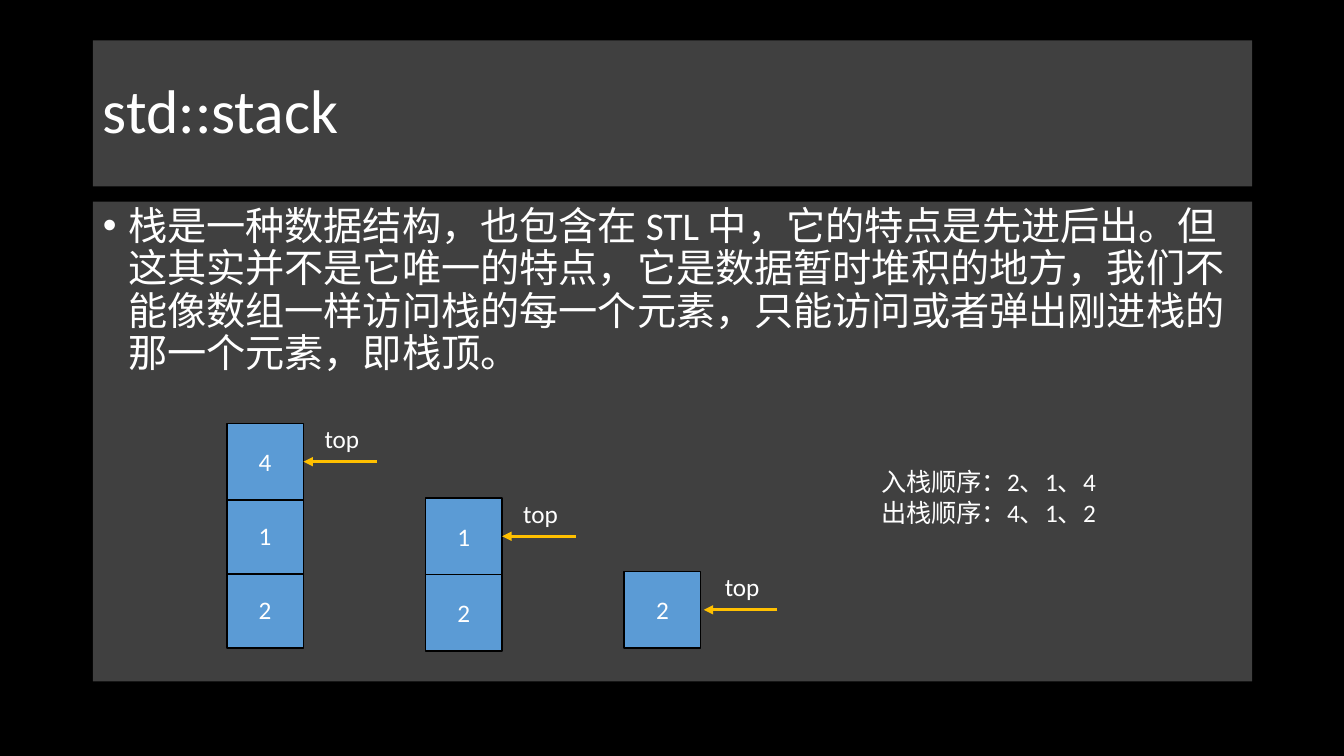
from lxml import etree
from pptx import Presentation
from pptx.dml.color import RGBColor
from pptx.enum.shapes import MSO_CONNECTOR, MSO_SHAPE
from pptx.enum.text import MSO_ANCHOR, MSO_AUTO_SIZE, PP_ALIGN
from pptx.oxml.ns import qn
from pptx.util import Inches, Pt

# Content
TITLE = "std::stack"
BODY = ("栈是一种数据结构，也包含在 STL 中，它的特点是先进后出。"
        "但这其实并不是它唯一的特点，它是数据暂时堆积的地方，"
        "我们不能像数组一样访问栈的每一个元素，"
        "只能访问或者弹出刚进栈的那一个元素，即栈顶。")
ORDERS = ["入栈顺序：2、1、4", "出栈顺序：4、1、2"]
# Values from bottom to top, top of the lowest cell, row step, gap before arrow
STACKS = [
    (["2", "1", "4"], 5.67, 0.735, 0),
    (["2", "1"], 5.7, 0.76, 0),
    (["2"], 5.67, 0.74, 0.03),
]

# Grid, in inches
WIDTH, HEIGHT = 13.33, 7.5
MARGIN, PANEL_W = 0.92, 11.5
STACK_X, STACK_PITCH = 2.25, 1.97
CELL, ARROW = 0.76, 0.73

BLACK = RGBColor(0, 0, 0)
WHITE = RGBColor(255, 255, 255)
BLUE = RGBColor(0x5B, 0x9B, 0xD5)
AMBER = RGBColor(0xFF, 0xC0, 0)
CENTER, LEFT = PP_ALIGN.CENTER, PP_ALIGN.LEFT
MIDDLE, TOP = MSO_ANCHOR.MIDDLE, MSO_ANCHOR.TOP


def write(shape, lines, size=18, align=LEFT, anchor=TOP, wrap=True, **spacing):
    tf = shape.text_frame
    tf.text = "\n".join(lines)
    tf.auto_size = MSO_AUTO_SIZE.NONE
    tf.word_wrap, tf.vertical_anchor = wrap, anchor
    for p in tf.paragraphs:
        for name, value in {"alignment": align, **spacing}.items():
            setattr(p, name, value)
        for r in p.runs:
            r.font.name, r.font.size = "Calibri", Pt(size)
            r.font.color.rgb = WHITE


def add_text(s, x, y, w, h, lines, **style):
    write(s.shapes.add_textbox(*map(Inches, (x, y, w, h))), lines, **style)


def place_panel(sp, y, h):
    sp.left, sp.top, sp.width, sp.height = map(Inches, (MARGIN, y, PANEL_W, h))
    sp.fill.solid()
    sp.fill.fore_color.rgb = WHITE
    color = sp.fill._xPr.find(qn("a:solidFill"))[0]
    etree.SubElement(color, qn("a:alpha"), val="25000")


def add_cell(s, x, y, value):
    sp = s.shapes.add_shape(MSO_SHAPE.RECTANGLE, *map(Inches, (x, y, CELL, CELL)))
    sp.shadow.inherit = False
    sp.fill.solid()
    sp.fill.fore_color.rgb = BLUE
    sp.line.color.rgb, sp.line.width = BLACK, Pt(1)
    write(sp, [value], align=CENTER, anchor=MIDDLE)


def add_top_arrow(s, x, y):
    arrow = s.shapes.add_connector(
        MSO_CONNECTOR.STRAIGHT, *map(Inches, (x + ARROW, y, x, y)))
    arrow.line.color.rgb, arrow.line.width = AMBER, Pt(2.25)
    etree.SubElement(arrow.line._get_or_add_ln(), qn("a:tailEnd"), type="triangle")
    etree.SubElement(arrow._element.spPr, qn("a:effectLst"))
    add_text(s, x + 0.11, y - 0.43, 0.62, 0.4, ["top"], wrap=False)


def main():
    prs = Presentation()
    prs.slide_width, prs.slide_height = Inches(WIDTH), Inches(HEIGHT)
    s = prs.slides.add_slide(prs.slide_layouts[1])
    s.background.fill.solid()
    s.background.fill.fore_color.rgb = BLACK

    # Title and explanation
    title, body = s.placeholders
    place_panel(title, 0.4, 1.45)
    write(title, [TITLE], size=44, anchor=MIDDLE, line_spacing=0.9)
    place_panel(body, 2, 4.76)
    write(body, [BODY], size=28, line_spacing=0.9, space_before=Pt(10))
    pPr = body.text_frame.paragraphs[0]._p.get_or_add_pPr()
    pPr.set("marL", str(Inches(0.25)))
    pPr.set("indent", str(-Inches(0.25)))
    etree.SubElement(pPr, qn("a:buFont"), typeface="Arial")
    etree.SubElement(pPr, qn("a:buChar"), char="•")

    # Stacks after each pop
    for col, (values, base, step, gap) in enumerate(STACKS):
        x = STACK_X + col * STACK_PITCH
        for row, value in enumerate(values):
            y = base - row * step
            add_cell(s, x, y, value)
        add_top_arrow(s, x + CELL + gap, y + CELL / 2)

    # Push and pop order
    add_text(s, 8.64, 4.58, 3.12, 0.71, ORDERS)
    prs.save("out.pptx")


if __name__ == "__main__":
    main()
